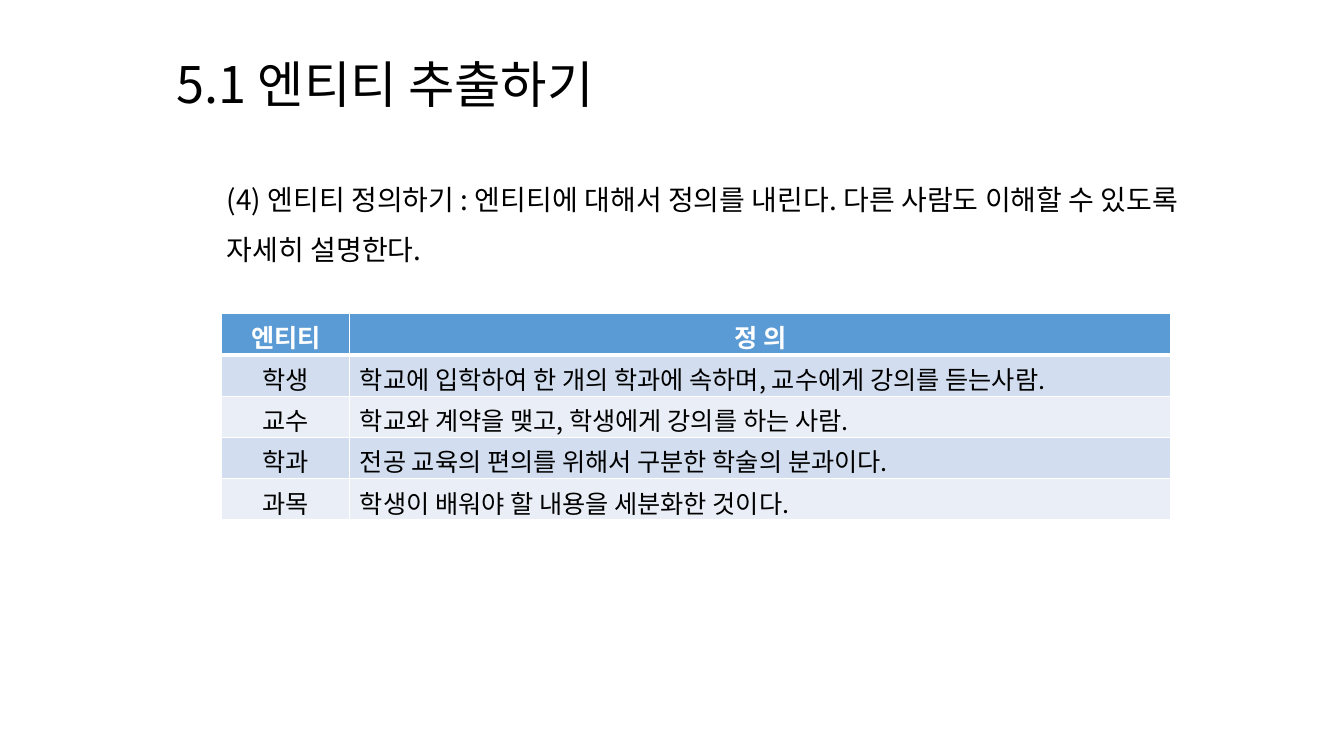
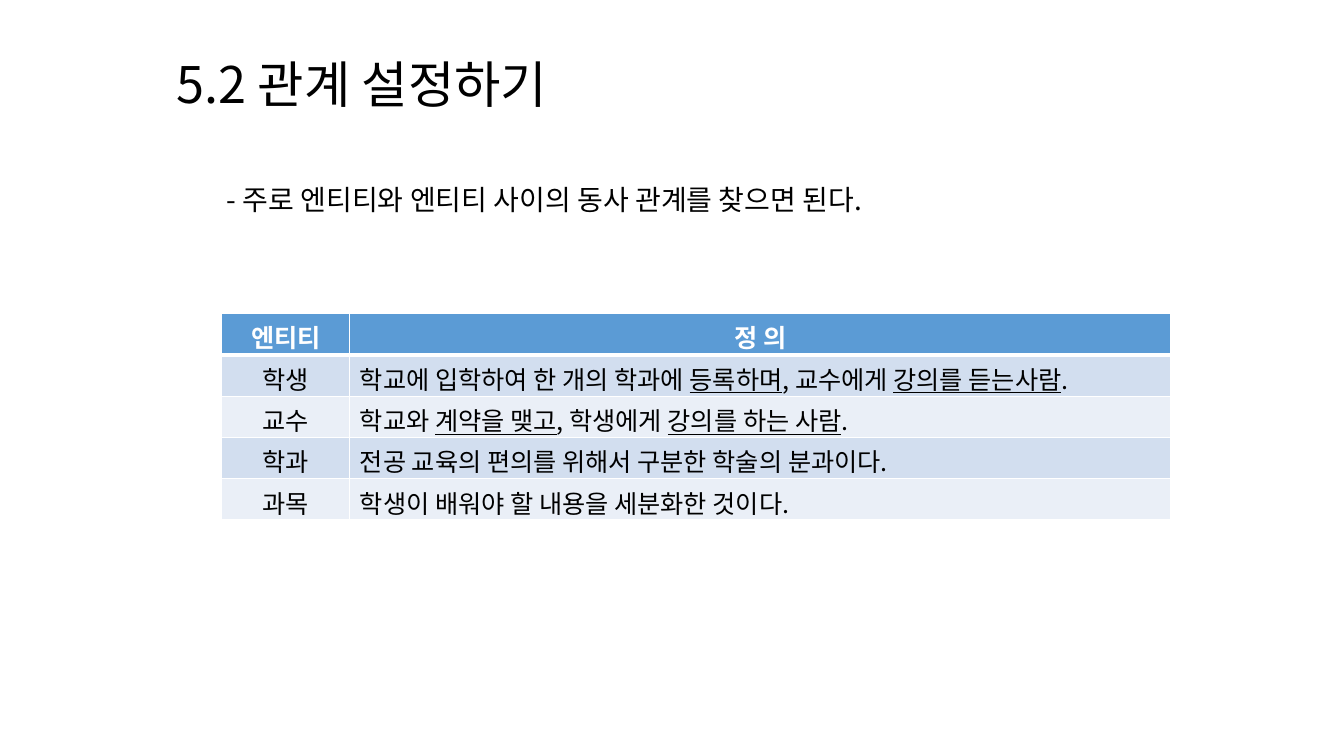
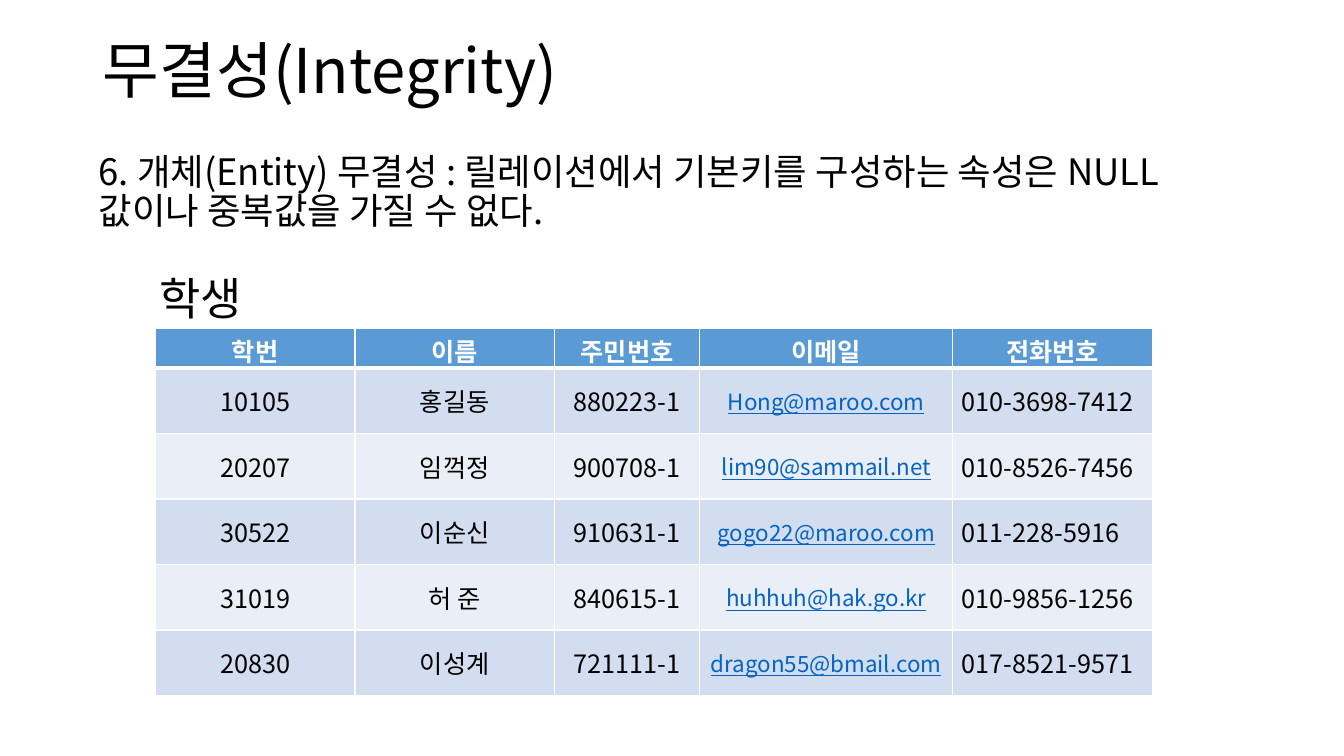
from lxml.etree import SubElement
from pptx import Presentation
from pptx.dml.color import RGBColor
from pptx.enum.text import MSO_ANCHOR, MSO_AUTO_SIZE, PP_ALIGN
from pptx.oxml.ns import qn
from pptx.util import Inches, Pt

FONT = "Noto Sans CJK KR"
COLORS = {
    "text": "000000",
    "white": "FFFFFF",
    "header": "5B9BD5",
    "band_dark": "D2DEEF",
    "band_light": "EAEFF7",
    "email": "0563C1",
}

DEFINITION_HEADER = ("엔티티", "정 의")
SHARED_DEFINITIONS = [
    ("학과", "전공 교육의 편의를 위해서 구분한 학술의 분과이다."),
    ("과목", "학생이 배워야 할 내용을 세분화한 것이다."),
]
ENTITY_SLIDES = [
    {
        "title": "5.1 엔티티 추출하기",
        "lead": "(4) 엔티티 정의하기 : 엔티티에 대해서 정의를 내린다. "
                "다른 사람도 이해할 수 있도록 자세히 설명한다.",
        "lead_height": 1.11,
        "definitions": [
            ("학생", "학교에 입학하여 한 개의 학과에 속하며, 교수에게 강의를 듣는사람."),
            ("교수", "학교와 계약을 맺고, 학생에게 강의를 하는 사람."),
        ],
    },
    {
        "title": "5.2 관계 설정하기",
        "lead": "- 주로 엔티티와 엔티티 사이의 동사 관계를 찾으면 된다.",
        "lead_height": 0.61,
        "definitions": [
            ("학생", "학교에 입학하여 한 개의 학과에 _등록하며_, 교수에게 _강의를 듣는사람_."),
            ("교수", "학교와 _계약을 맺고_, 학생에게 _강의를 하는 사람_."),
        ],
    },
]

INTEGRITY_TITLE = "무결성(Integrity)"
INTEGRITY_RULE = ("6. 개체(Entity) 무결성 : 릴레이션에서 기본키를 구성하는 속성은 NULL "
                  "값이나 중복값을 가질 수 없다.")
STUDENT_CAPTION = "학생"
STUDENTS = [
    ("학번", "이름", "주민번호", "이메일", "전화번호"),
    ("10105", "홍길동", "880223-1", "_Hong@maroo.com_", "010-3698-7412"),
    ("20207", "임꺽정", "900708-1", "_lim90@sammail.net_", "010-8526-7456"),
    ("30522", "이순신", "910631-1", "_gogo22@maroo.com_", "011-228-5916"),
    ("31019", "허 준", "840615-1", "_huhhuh@hak.go.kr_", "010-9856-1256"),
    ("20830", "이성계", "721111-1", "_dragon55@bmail.com_", "017-8521-9571"),
]
EMAIL_COLUMN = 3


def color(name):
    return RGBColor.from_string(COLORS[name])


def write(paragraph, text, size, ink="text", bold=False):
    for index, segment in enumerate(text.split("_")):
        if not segment:
            continue
        run = paragraph.add_run()
        run.text = segment
        font = run.font
        font.name, font.size, font.bold = FONT, Pt(size), bold
        font.color.rgb = color(ink)
        if index % 2:
            font.underline = True
        SubElement(font._element, qn("a:ea"), typeface=FONT)


def place(shape, box):
    shape.left, shape.top, shape.width, shape.height = map(Inches, box)


def add_title_slide(deck, title, box, size, anchor, spacing):
    slide = deck.slides.add_slide(deck.slide_layouts[5])
    heading = slide.shapes.title
    place(heading, box)
    frame = heading.text_frame
    frame.auto_size = MSO_AUTO_SIZE.NONE
    frame.vertical_anchor = anchor
    paragraph = frame.paragraphs[0]
    paragraph.alignment = PP_ALIGN.LEFT
    paragraph.line_spacing = spacing
    write(paragraph, title, size)
    return slide


def add_text(slide, text, box, size, spacing=1.0):
    frame = slide.shapes.add_textbox(*map(Inches, box)).text_frame
    frame.word_wrap = True
    paragraph = frame.paragraphs[0]
    paragraph.line_spacing = spacing
    write(paragraph, text, size)
    return paragraph


def add_border(cell, side, width):
    line = SubElement(cell._tc.get_or_add_tcPr(), qn(f"a:ln{side}"), w=str(Pt(width)))
    SubElement(SubElement(line, qn("a:solidFill")), qn("a:srgbClr"), val=COLORS["white"])


def add_banded_table(slide, rows, corner, widths, heights, email_column=None):
    box = (*corner, sum(widths), sum(heights))
    table = slide.shapes.add_table(len(rows), len(widths), *map(Inches, box)).table
    table.horz_banding = False
    for column, width in zip(table.columns, widths):
        column.width = Inches(width)
    for row, height in zip(table.rows, heights):
        row.height = Inches(height)
    for r, row in enumerate(rows):
        is_header = r == 0
        band = "header" if is_header else "band_dark" if r % 2 else "band_light"
        for c, text in enumerate(row):
            cell = table.cell(r, c)
            for side in "LRTB":
                heavy = (side, r) in (("B", 0), ("T", 1))
                add_border(cell, side, 3 if heavy else 1)
            cell.fill.solid()
            cell.fill.fore_color.rgb = color(band)
            paragraph = cell.text_frame.paragraphs[0]
            is_last = c == len(widths) - 1
            paragraph.alignment = PP_ALIGN.LEFT if is_last and not is_header else PP_ALIGN.CENTER
            if is_header:
                write(paragraph, text, 18, "white", True)
            elif c == email_column:
                write(paragraph, text, 16, "email")
            else:
                write(paragraph, text, 18)
    return table


def add_entity_slide(deck, content):
    slide = add_title_slide(deck, content["title"], (1.65, 0.48, 10.52, 0.71), 36,
                            MSO_ANCHOR.TOP, 1.0)
    lead = add_text(slide, content["lead"], (1.65, 1.59, 10.21, content["lead_height"]), 20, 1.5)
    lead.level = 1
    lead._p.get_or_add_pPr().set("marL", str(Inches(0.5)))
    rows = [DEFINITION_HEADER] + content["definitions"] + SHARED_DEFINITIONS
    add_banded_table(slide, rows, (2.2, 3.11), (1.27, 8.14), [0.41] * len(rows))


def add_integrity_slide(deck):
    slide = add_title_slide(deck, INTEGRITY_TITLE, (0.92, 0, 11.5, 1.45), 44,
                            MSO_ANCHOR.MIDDLE, 0.9)
    rule = add_text(slide, INTEGRITY_RULE, (0.88, 1.48, 11.5, 4.76), 26, 0.9)
    rule.space_before = Pt(10)
    heights = [0.39] + [0.65] * (len(STUDENTS) - 1)
    table = add_banded_table(slide, STUDENTS, (1.54, 3.26), (1.98, 1.98, 1.44, 2.51, 1.98),
                             heights, EMAIL_COLUMN)
    for index, cell in enumerate(table.iter_cells()):
        cell.margin_left = cell.margin_right = Inches(0.09)
        cell.margin_top = cell.margin_bottom = Inches(0.04)
        if index >= len(STUDENTS[0]):
            cell.vertical_anchor = MSO_ANCHOR.MIDDLE
    add_text(slide, STUDENT_CAPTION, (1.48, 2.64, 1.11, 0.64), 32)


def main():
    deck = Presentation()
    deck.slide_width, deck.slide_height = Inches(13.33), Inches(7.5)
    for content in ENTITY_SLIDES:
        add_entity_slide(deck, content)
    add_integrity_slide(deck)
    deck.save("out.pptx")


if __name__ == "__main__":
    main()
